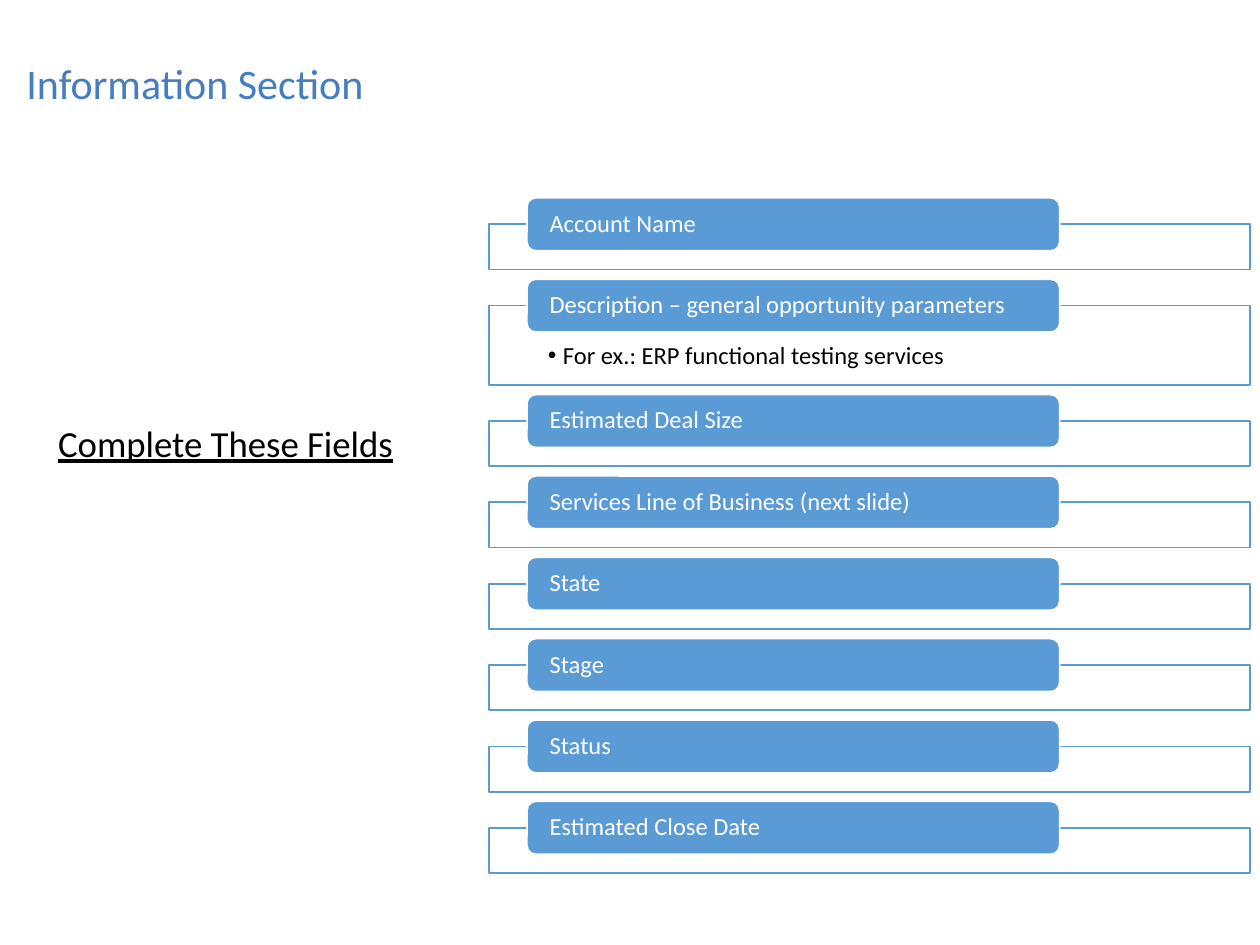
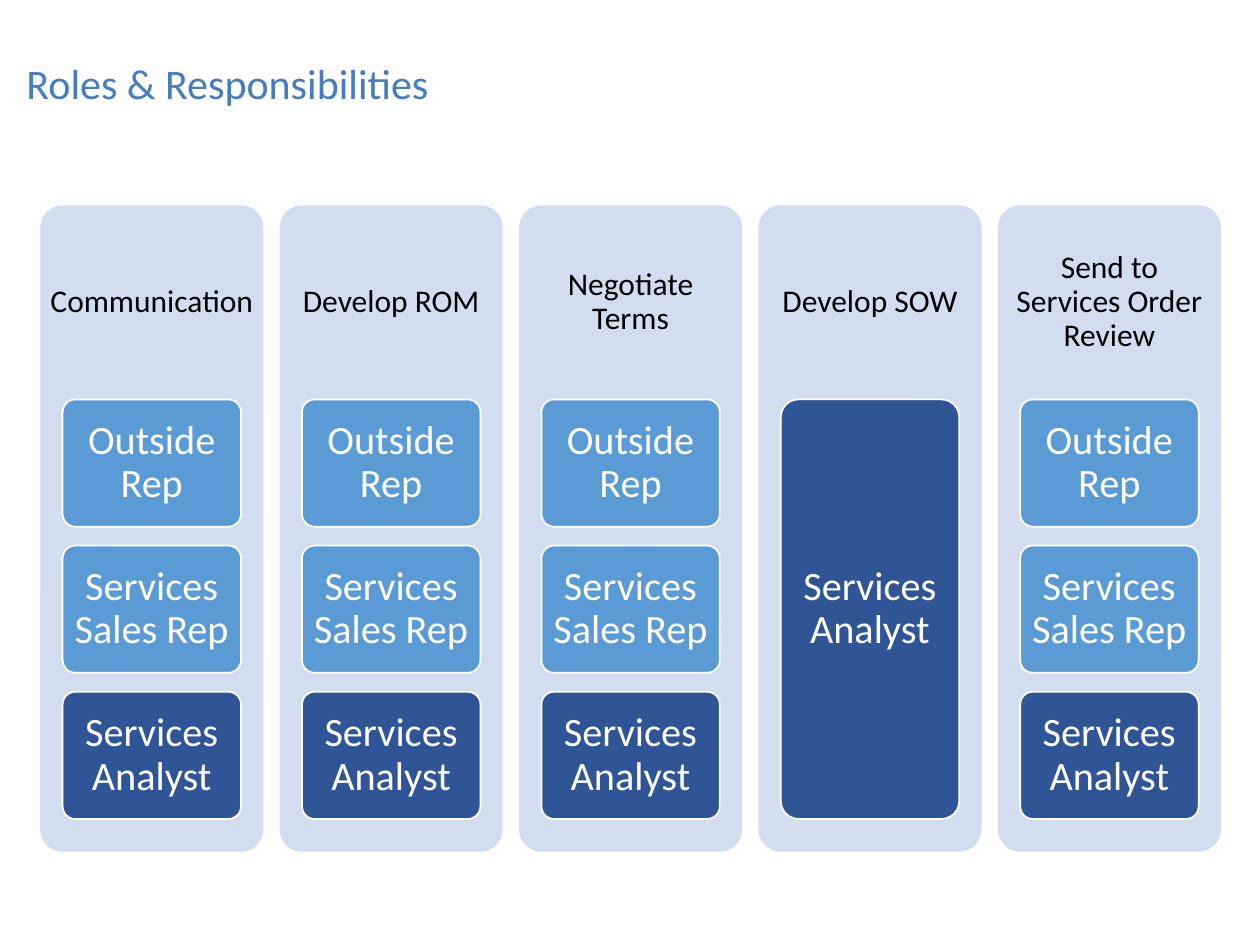
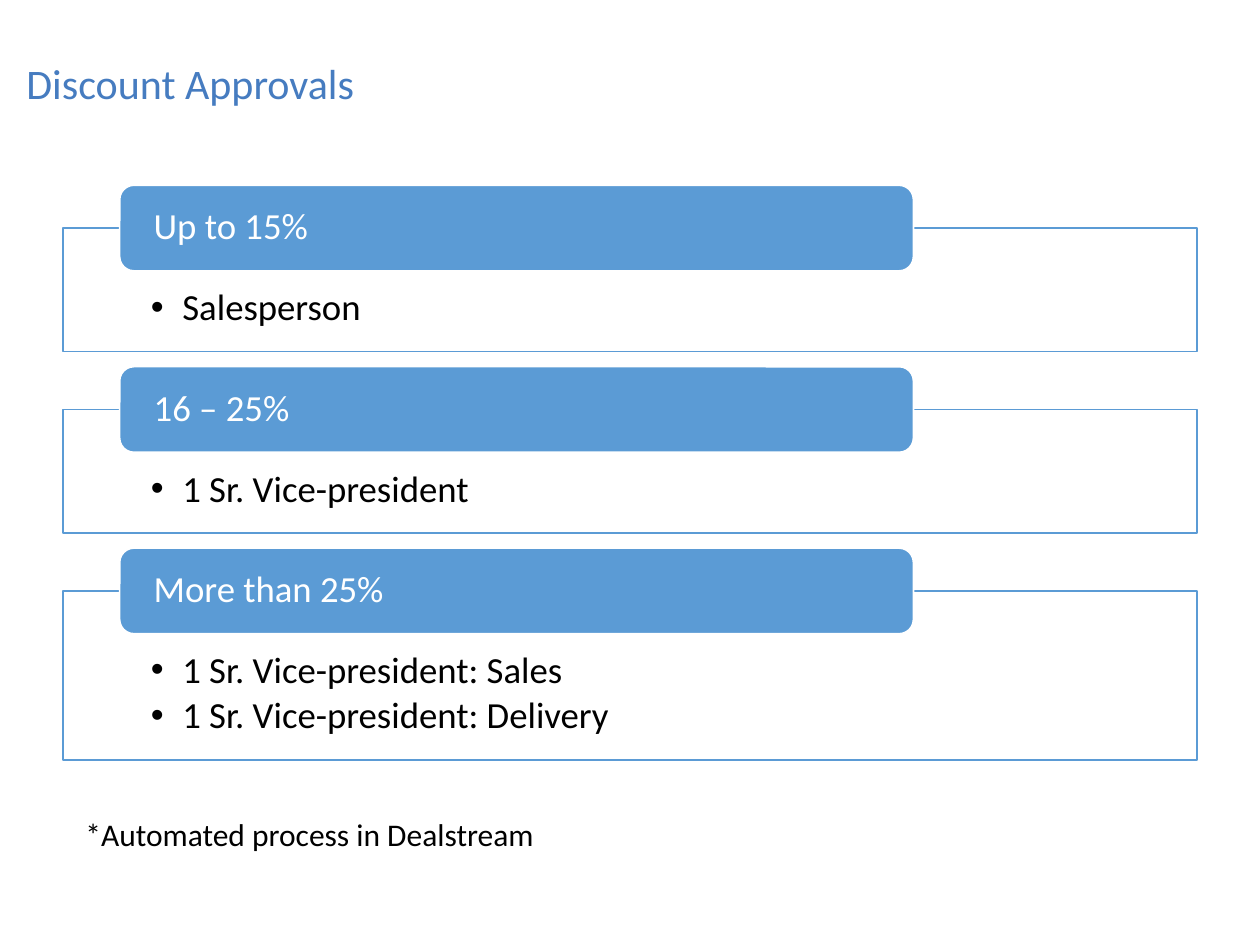
from lxml.etree import SubElement
from pptx import Presentation
from pptx.dml.color import RGBColor
from pptx.enum.shapes import MSO_SHAPE
from pptx.enum.text import MSO_ANCHOR, MSO_AUTO_SIZE, PP_ALIGN
from pptx.oxml.ns import qn
from pptx.util import Inches, Pt

COLUMNS, ROWS = 100, 75
FONT = "Calibri"
TITLE_BLUE = RGBColor(0x46, 0x7C, 0xC0)
BLUE = RGBColor(0x5B, 0x9B, 0xD5)
NAVY = RGBColor(0x2F, 0x55, 0x97)
PALE = RGBColor(0xD2, 0xDE, 0xEF)
WHITE = RGBColor(0xFF, 0xFF, 0xFF)
BLACK = RGBColor(0x00, 0x00, 0x00)


class Deck:
    """Shared style and current slide; lengths are columns and rows of the grid."""

    def __init__(self):
        self.prs = Presentation()
        self.prs.slide_width, self.prs.slide_height = Inches(10), Inches(7.5)
        self.slide = None

    def x(self, columns):
        return round(self.prs.slide_width * columns / COLUMNS)

    def y(self, rows):
        return round(self.prs.slide_height * rows / ROWS)

    def area(self, left, top, width, height):
        return self.x(left), self.y(top), self.x(width), self.y(height)

    def new_slide(self, heading):
        self.slide = self.prs.slides.add_slide(self.prs.slide_layouts[5])
        title = self.slide.shapes.title
        title.left, title.top, title.width, title.height = self.area(1.1, 2.5, 72.8, 8.7)
        self.set_lines(title.text_frame, [heading], 24, TITLE_BLUE, anchor=MSO_ANCHOR.MIDDLE)

    def set_lines(self, frame, lines, size, color, align=PP_ALIGN.LEFT, anchor=MSO_ANCHOR.TOP,
                  insets=(1, 0.5), hang=0, underline=None, spacing=0.9):
        """Fill a text frame, one line a paragraph; a hang makes them bullets."""
        frame.word_wrap = True
        frame.auto_size = MSO_AUTO_SIZE.NONE
        frame.vertical_anchor = anchor
        frame.margin_left = frame.margin_right = self.x(insets[0])
        frame.margin_top = frame.margin_bottom = self.y(insets[1])
        for index, line in enumerate(lines):
            paragraph = frame.add_paragraph() if index else frame.paragraphs[0]
            paragraph.alignment = align
            paragraph.line_spacing = spacing
            if hang:
                self.bullet(paragraph, hang)
                paragraph.space_after = Pt(size * 0.15)
            run = paragraph.add_run()
            run.text = line
            run.font.name, run.font.size = FONT, Pt(size)
            run.font.color.rgb = color
            run.font.underline = underline

    def bullet(self, paragraph, hang):
        properties = paragraph._p.get_or_add_pPr()
        properties.set("marL", str(self.x(hang)))
        properties.set("indent", str(-self.x(hang)))
        SubElement(properties, qn("a:buFont")).set("typeface", "Arial")
        SubElement(properties, qn("a:buChar")).set("char", "•")

    def text(self, left, top, width, height, line, size, **style):
        box = self.slide.shapes.add_textbox(*self.area(left, top, width, height))
        self.set_lines(box.text_frame, [line], size, BLACK, **style)

    def panel(self, kind, left, top, width, height, fill, line=None, corner=None):
        shape = self.slide.shapes.add_shape(kind, *self.area(left, top, width, height))
        shape.shadow.inherit = False
        shape.fill.solid()
        shape.fill.fore_color.rgb = fill
        if line is None:
            shape.line.fill.background()
        else:
            shape.line.color.rgb = line
            shape.line.width = Pt(1)
        if corner is not None:
            shape.adjustments[0] = corner
        return shape.text_frame

    def tabbed_list(self, entries, left, top, width, bottom, tab_height, size, hang):
        """Spread (label, details, frame height) entries evenly from top to bottom."""
        spare = bottom - top - sum(height for _, _, height in entries)
        gap = spare / (len(entries) - 1)
        for label, details, height in entries:
            frame = self.panel(MSO_SHAPE.RECTANGLE, left, top, width, height, WHITE, BLUE)
            if details:
                self.set_lines(frame, details, size, BLACK, hang=hang,
                               insets=(width / 12.9, tab_height * 0.71))
                frame.margin_bottom = 0
            tab = self.panel(MSO_SHAPE.ROUNDED_RECTANGLE, left + width * 0.05,
                             top - tab_height / 2, width * 0.7, tab_height, BLUE, WHITE)
            self.set_lines(tab, [label], size, WHITE, anchor=MSO_ANCHOR.MIDDLE,
                           insets=(width / 38, 0))
            top += height + gap

    def role_column(self, left, width, stage, roles):
        """A stage with its roles stacked to fill the column; the last role is dark."""
        self.panel(MSO_SHAPE.ROUNDED_RECTANGLE, left, 16.3, width, 51.3, PALE, corner=0.1)
        centred = {"align": PP_ALIGN.CENTER, "anchor": MSO_ANCHOR.MIDDLE}
        self.text(left, 16.3, width, 15.4, stage, 18, insets=(0.7, 0.7), **centred)
        stack_top, stack_height, gap = 31.7, 33.3, 1.5
        step = (stack_height + gap) / len(roles)
        for index, role in enumerate(roles):
            fill = NAVY if role == roles[-1] else BLUE
            card = self.panel(MSO_SHAPE.ROUNDED_RECTANGLE, left + width * 0.1,
                              stack_top + index * step, width * 0.8, step - gap,
                              fill, WHITE, corner=0.1)
            self.set_lines(card, [role], 23, WHITE, insets=(0.5, 0.5), **centred)


def information_section(deck):
    deck.new_slide("Information Section")
    deck.text(0.8, 33.3, 34.2, 6.7, "Complete These Fields", 21,
              align=PP_ALIGN.CENTER, underline=True)
    details = {"Description – general opportunity parameters":
               ["For ex.: ERP functional testing services"]}
    fields = ["Account Name", *details, "Estimated Deal Size",
              "Services Line of Business (next slide)", "State", "Stage", "Status",
              "Estimated Close Date"]
    entries = [(field, details.get(field), 6.3 if field in details else 3.6)
               for field in fields]
    deck.tabbed_list(entries, left=38.8, top=17.8, width=60.4, bottom=69.3,
                     tab_height=4.2, size=14, hang=1.2)


def roles_and_responsibilities(deck):
    deck.new_slide("Roles & Responsibilities")
    analyst = ["Services Analyst"]
    team = ["Outside Rep", "Services Sales Rep", *analyst]
    stages = [("Communication", team), ("Develop ROM", team), ("Negotiate Terms", team),
              ("Develop SOW", analyst), ("Send to Services Order Review", team)]
    for index, (stage, roles) in enumerate(stages):
        deck.role_column(3.2 + index * 19, 17.7, stage, roles)


def discount_approvals(deck):
    deck.new_slide("Discount Approvals")
    approvals = [
        ("Up to 15%", ["Salesperson"], 9.8),
        ("16 – 25%", ["1 Sr. Vice-president"], 9.8),
        ("More than 25%",
         ["1 Sr. Vice-president: Sales", "1 Sr. Vice-president: Delivery"], 13.4),
    ]
    deck.tabbed_list(approvals, left=5, top=18.1, width=90, bottom=60.3,
                     tab_height=6.8, size=21, hang=2.5)
    deck.text(5.8, 64.2, 42, 4, "*Automated process in Dealstream", 18, spacing=1)


def main():
    deck = Deck()
    information_section(deck)
    roles_and_responsibilities(deck)
    discount_approvals(deck)
    deck.prs.save("out.pptx")


if __name__ == "__main__":
    main()
